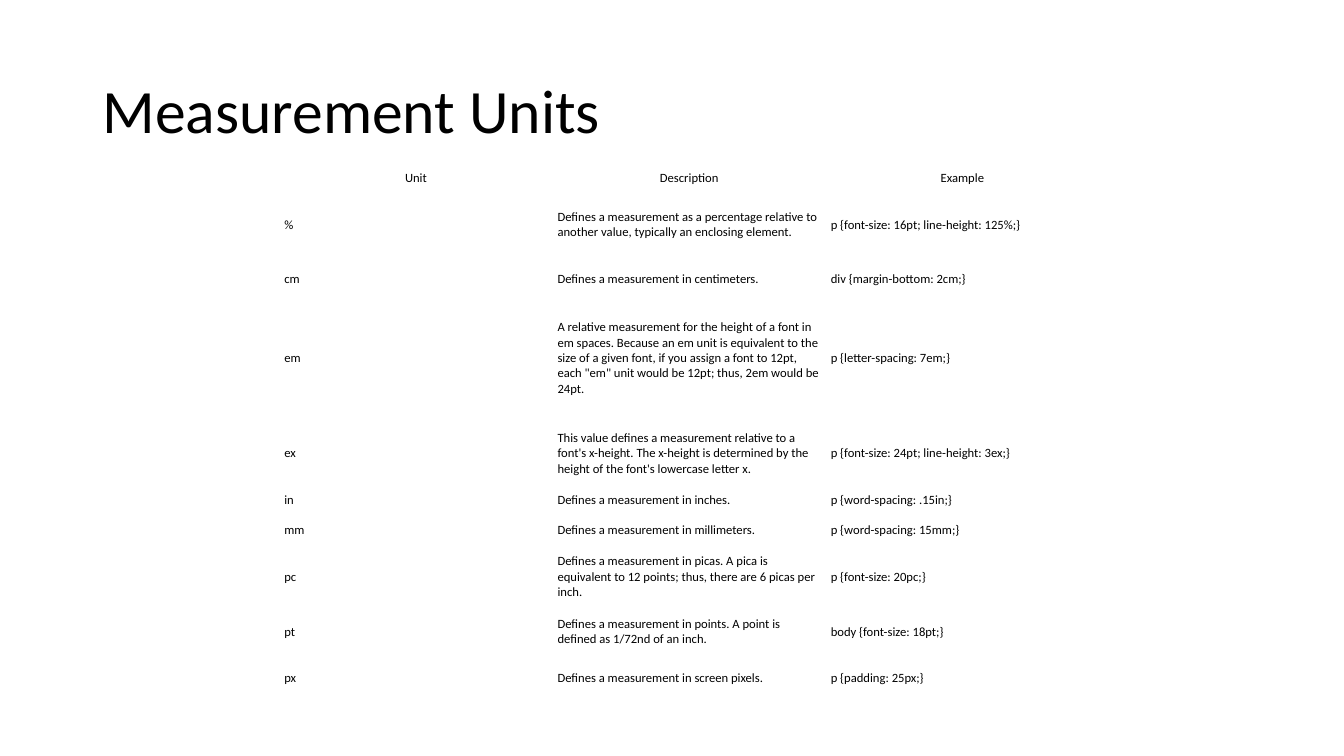
from pptx import Presentation
from pptx.dml.color import RGBColor
from pptx.enum.text import MSO_ANCHOR, PP_ALIGN
from pptx.util import Inches, Pt

MIDDLE = MSO_ANCHOR.MIDDLE
LEFT, CENTER = PP_ALIGN.LEFT, PP_ALIGN.CENTER
BLACK = "000000"

UNITS = [
    # row height, unit, description, example
    (0.22, "Unit", "Description", "Example"),
    (0.7, "%", "Defines a measurement as a percentage relative to another value, "
     "typically an enclosing element.", "p {font-size: 16pt; line-height: 125%;}"),
    (0.38, "cm", "Defines a measurement in centimeters.", "div {margin-bottom: 2cm;}"),
    (1.19, "em", "A relative measurement for the height of a font in em spaces. "
     "Because an em unit is equivalent to the size of a given font, if you assign "
     "a font to 12pt, each \"em\" unit would be 12pt; thus, 2em would be 24pt.",
     "p {letter-spacing: 7em;}"),
    (0.7, "ex", "This value defines a measurement relative to a font's x-height. "
     "The x-height is determined by the height of the font's lowercase letter x.",
     "p {font-size: 24pt; line-height: 3ex;}"),
    (0.22, "in", "Defines a measurement in inches.", "p {word-spacing: .15in;}"),
    (0.38, "mm", "Defines a measurement in millimeters.", "p {word-spacing: 15mm;}"),
    (0.55, "pc", "Defines a measurement in picas. A pica is equivalent to 12 points; "
     "thus, there are 6 picas per inch.", "p {font-size: 20pc;}"),
    (0.54, "pt", "Defines a measurement in points. A point is defined as 1/72nd "
     "of an inch.", "body {font-size: 18pt;}"),
    (0.38, "px", "Defines a measurement in screen pixels.", "p {padding: 25px;}"),
]


def color(hex_code):
    """Turn a hex string into a colour."""
    return RGBColor.from_string(hex_code)


def write(frame, text, size, align=LEFT):
    """Put one paragraph of black Calibri into a text frame."""
    frame.text = text
    paragraph = frame.paragraphs[0]
    paragraph.alignment = align
    paragraph.font.name = "Calibri"
    paragraph.font.size = Pt(size)
    paragraph.font.bold = False
    paragraph.font.color.rgb = color(BLACK)
    return paragraph


prs = Presentation()
prs.slide_width, prs.slide_height = Inches(13.33), Inches(7.5)
slide = prs.slides.add_slide(prs.slide_layouts[6])

title = slide.shapes.add_textbox(Inches(0.92), Inches(0.4), Inches(11.5), Inches(1.45)).text_frame
title.word_wrap = True
title.vertical_anchor = MIDDLE
write(title, "Measurement Units", 44).line_spacing = 0.9

units = slide.shapes.add_table(
    len(UNITS), 3, Inches(2.77), Inches(1.66), Inches(8.14), Inches(5.27)).table
units.first_row = units.horz_banding = False
for column in units.columns:
    column.width = Inches(2.71)

for row, (height, *texts) in enumerate(UNITS):
    units.rows[row].height = Inches(height)
    for col, text in enumerate(texts):
        cell = units.cell(row, col)
        cell.fill.background()
        cell.vertical_anchor = MIDDLE
        cell.margin_left = cell.margin_right = Inches(0.05)
        cell.margin_top = cell.margin_bottom = Inches(0.02)
        write(cell.text_frame, text, 9, CENTER if row == 0 else LEFT)

prs.save("out.pptx")
